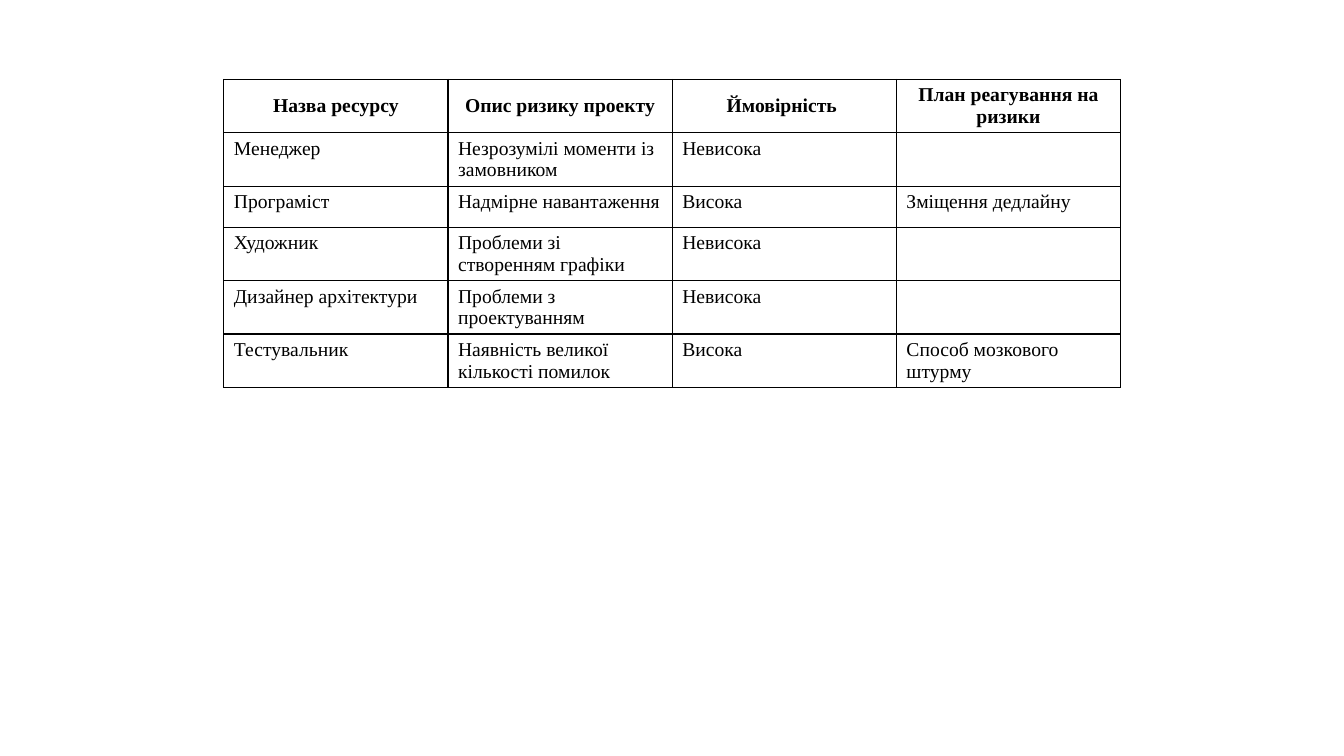
import pptx
import pptx.enum.text
import pptx.oxml
import pptx.util
from pptx.util import Cm

COLORS = {"ink": "000000", "paper": "FFFFFF"}
RISKS = [
    ("Назва ресурсу", "Опис ризику проекту", "Ймовірність ", "План реагування на ризики"),
    ("Менеджер", "Незрозумілі моменти із замовником", "Невисока", ""),
    ("Програміст", "Надмірне навантаження", "Висока", "Зміщення дедлайну"),
    ("Художник", "Проблеми зі створенням графіки", "Невисока", ""),
    ("Дизайнер архітектури", "Проблеми з проектуванням", "Невисока", ""),
    ("Тестувальник", "Наявність великої кількості помилок", "Висока", "Способ мозкового штурму"),
]


class SlideBuilder:
    """Holds the text style and the current slide, and adds elements to it."""

    def __init__(self, slide, font_name, font_size):
        self.slide = slide
        self.font_name = font_name
        self.font_size = pptx.util.Pt(font_size)

    def add_table(self, rows, left, top, column_width, row_height):
        column_count = len(rows[0])
        frame = self.slide.shapes.add_table(
            len(rows), column_count, left, top,
            column_width * column_count, row_height * len(rows))
        table = frame.table
        table.horz_banding = False
        for row_index, texts in enumerate(rows):
            table.rows[row_index].height = row_height
            for column_index, text in enumerate(texts):
                self.format_cell(table.cell(row_index, column_index), text, row_index == 0)

    def format_cell(self, cell, text, is_header):
        cell.text = text
        paragraph = cell.text_frame.paragraphs[0]
        paragraph.font.name = self.font_name
        paragraph.font.size = self.font_size
        paragraph.font.bold = is_header
        paragraph.font.color.rgb = pptx.dml.color.RGBColor.from_string(COLORS["ink"])
        if is_header:
            paragraph.alignment = pptx.enum.text.PP_ALIGN.CENTER
            cell.vertical_anchor = pptx.enum.text.MSO_ANCHOR.MIDDLE
        self.add_borders(cell)
        cell.fill.solid()
        cell.fill.fore_color.rgb = pptx.dml.color.RGBColor.from_string(COLORS["paper"])

    def add_borders(self, cell):
        properties = cell._tc.get_or_add_tcPr()
        for side in ("lnL", "lnR", "lnT", "lnB"):
            properties.append(pptx.oxml.parse_xml(
                f'<a:{side} xmlns:a="http://schemas.openxmlformats.org/drawingml/2006/main" '
                f'w="{pptx.util.Pt(1)}"><a:solidFill><a:srgbClr val="{COLORS["ink"]}"/>'
                f'</a:solidFill></a:{side}>'))


def main():
    presentation = pptx.Presentation()
    presentation.slide_width = Cm(33.87)
    presentation.slide_height = Cm(19.05)
    slide = presentation.slides.add_slide(presentation.slide_layouts[6])
    builder = SlideBuilder(slide, "Times New Roman", 14)
    builder.add_table(RISKS, left=Cm(5.64), top=Cm(2), column_width=Cm(5.65), row_height=Cm(1.03))
    presentation.save("out.pptx")


if __name__ == "__main__":
    main()
